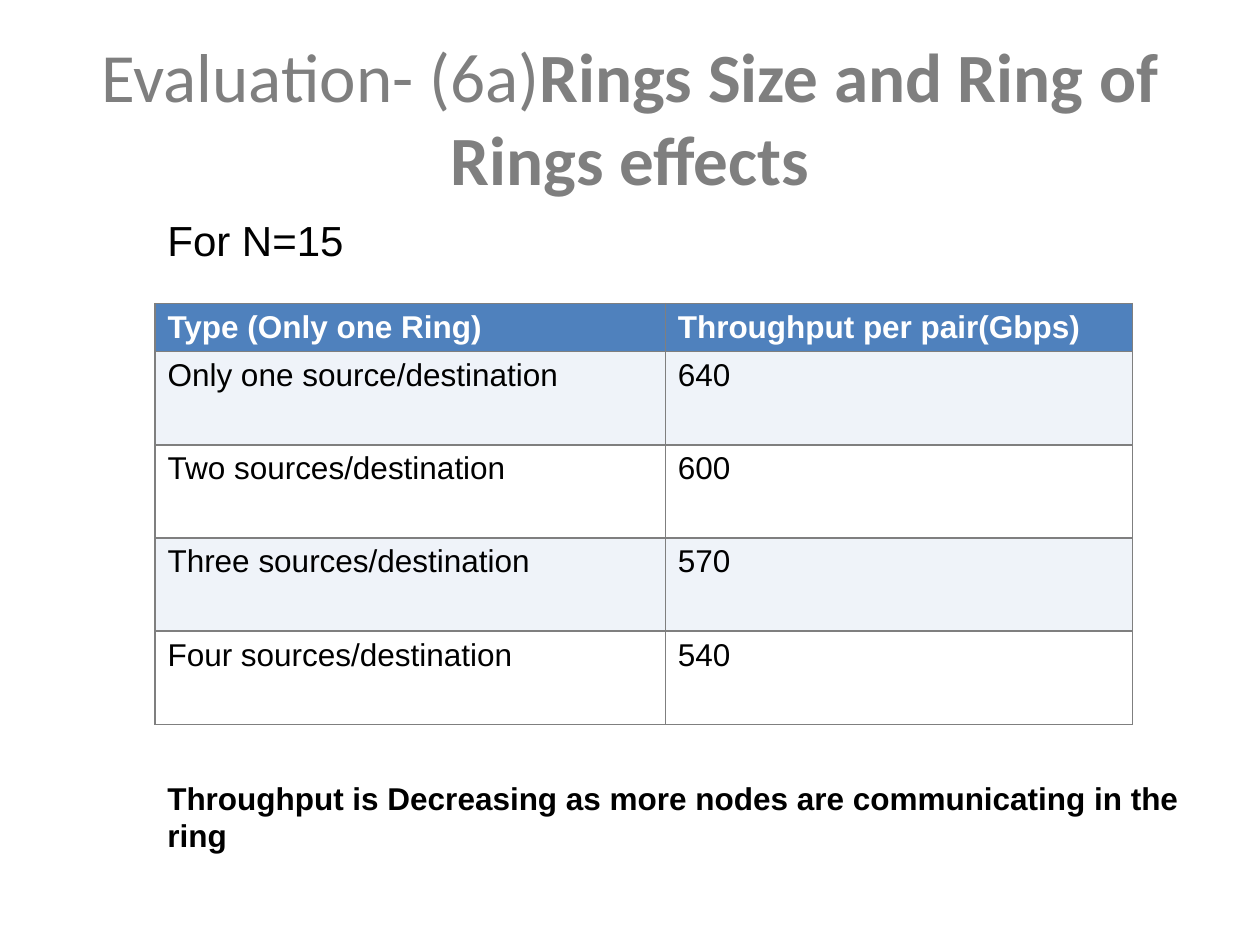
"""Build the ring throughput evaluation slide."""
import pptx
import pptx.dml.color
import pptx.enum.text
import pptx.oxml
import pptx.oxml.ns
import pptx.util

Inches = pptx.util.Inches
Pt = pptx.util.Pt
GREY, BLACK, WHITE = "7F7F7F", "000000", "FFFFFF"
HEADER_FILL, BAND_FILL = "4F81BD", "EFF3F9"

TITLE = [("Evaluation- (6a)", False), ("Rings Size and Ring of Rings effects", True)]
NOTES = [
    ("Throughput is Decreasing as more nodes are communicating in the ring",
     (1.23, 6.13, 8.27, 0.94), 18, True, True),
    ("For N=15", (1.23, 1.65, 1.61, 0.5), 24, False, False),
]
ROWS = [
    ("Type (Only one Ring)", "Throughput per pair(Gbps)"),
    ("Only one source/destination", "640"),
    ("Two sources/destination", "600"),
    ("Three sources/destination", "570"),
    ("Four sources/destination", "540"),
]
COL_WIDTHS = (4.05, 3.71)
ROW_HEIGHTS = [0.38] + [0.74] * (len(ROWS) - 1)


def rgb(value):
    return pptx.dml.color.RGBColor.from_string(value)


def add_run(p, text, size, color, bold=False, font="Arial"):
    r = p.add_run()
    r.text = text
    r.font.size = Pt(size)
    r.font.name = font
    r.font.bold = bold
    r.font.color.rgb = rgb(color)


def set_borders(cell, color, width):
    tc_pr = cell._tc.get_or_add_tcPr()
    for i, side in enumerate(("lnL", "lnR", "lnT", "lnB")):
        tc_pr.insert(i, pptx.oxml.parse_xml(
            f'<a:{side} {pptx.oxml.ns.nsdecls("a")} w="{Pt(width)}"><a:solidFill>'
            f'<a:srgbClr val="{color}"/></a:solidFill></a:{side}>'))


def add_title(s):
    sp = s.shapes.title
    sp.left, sp.top, sp.width, sp.height = map(Inches, (0.5, 0.3, 9, 1.25))
    tf = sp.text_frame
    tf.auto_size = pptx.enum.text.MSO_AUTO_SIZE.NONE
    tf.vertical_anchor = pptx.enum.text.MSO_ANCHOR.MIDDLE
    p = tf.paragraphs[0]
    p.alignment = pptx.enum.text.PP_ALIGN.CENTER
    for text, bold in TITLE:
        add_run(p, text, 39.5, GREY, bold, "Calibri")


def add_throughput_table(s):
    box = map(Inches, (1.23, 2.41, sum(COL_WIDTHS), sum(ROW_HEIGHTS)))
    table = s.shapes.add_table(len(ROWS), len(COL_WIDTHS), *box).table
    for col, width in zip(table.columns, COL_WIDTHS):
        col.width = Inches(width)
    for i, (row, height) in enumerate(zip(ROWS, ROW_HEIGHTS)):
        table.rows[i].height = Inches(height)
        header = i == 0
        fill = HEADER_FILL if header else BAND_FILL if i % 2 else WHITE
        for j, text in enumerate(row):
            cell = table.cell(i, j)
            cell.fill.solid()
            cell.fill.fore_color.rgb = rgb(fill)
            set_borders(cell, GREY, 1)
            add_run(cell.text_frame.paragraphs[0], text, 18, WHITE if header else BLACK, header)


def add_note(s, text, box, size, bold, wrap):
    tf = s.shapes.add_textbox(*map(Inches, box)).text_frame
    tf.word_wrap = wrap
    tf.auto_size = pptx.enum.text.MSO_AUTO_SIZE.SHAPE_TO_FIT_TEXT
    add_run(tf.paragraphs[0], text, size, BLACK, bold)


def main():
    prs = pptx.Presentation()
    prs.slide_width, prs.slide_height = Inches(10), Inches(7.5)
    s = prs.slides.add_slide(prs.slide_layouts[5])
    add_title(s)
    add_throughput_table(s)
    for note in NOTES:
        add_note(s, *note)
    prs.save("out.pptx")


if __name__ == "__main__":
    main()
